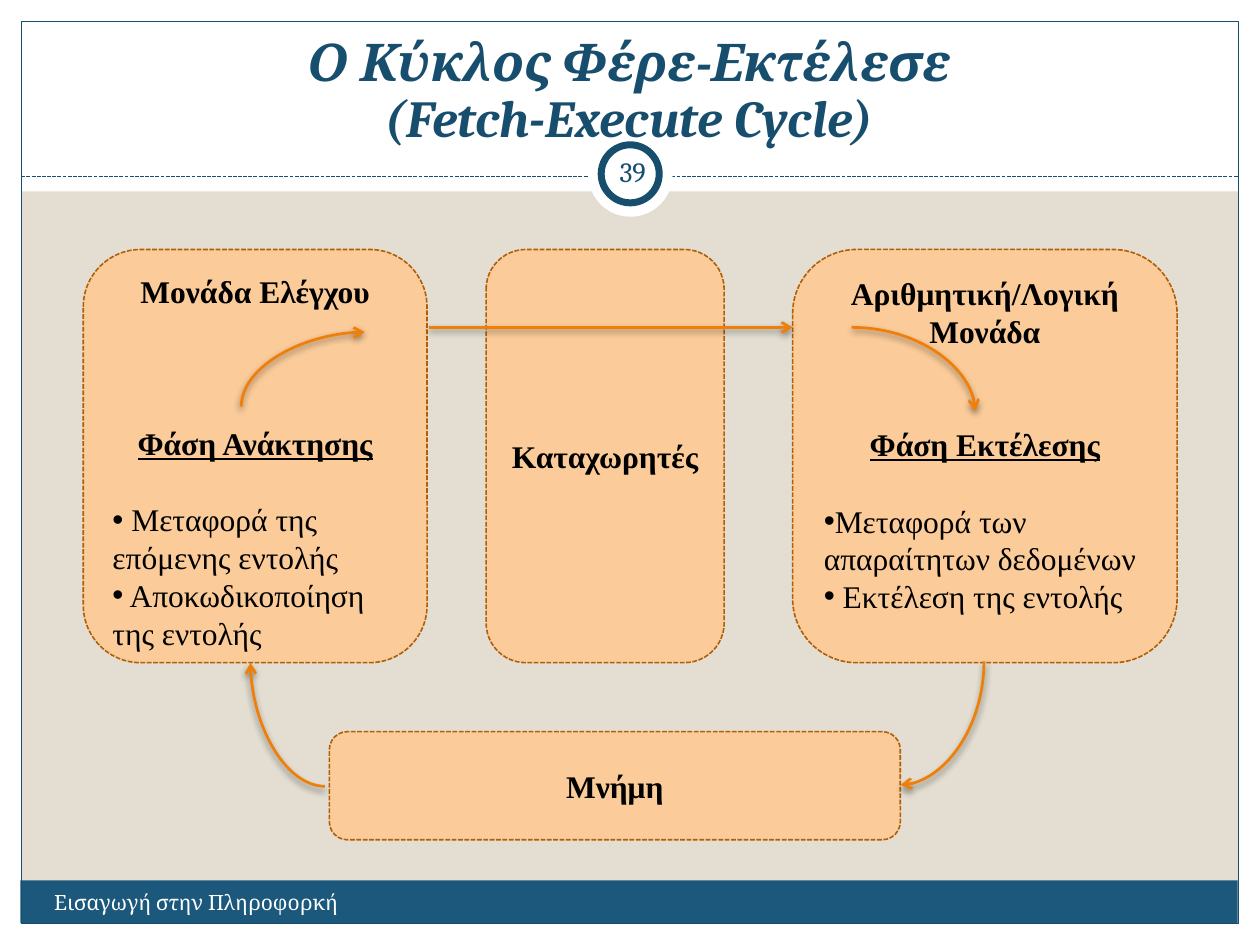
from dataclasses import dataclass

import lxml.etree
import pptx
import pptx.dml.color
import pptx.enum.dml
import pptx.enum.shapes
import pptx.enum.text
import pptx.oxml.ns
import pptx.util

Cm, Pt = pptx.util.Cm, pptx.util.Pt
KIND = pptx.enum.shapes.MSO_SHAPE
JOIN = pptx.enum.shapes.MSO_CONNECTOR
ALIGN = pptx.enum.text.PP_ALIGN
ANCHOR = pptx.enum.text.MSO_ANCHOR
DASH = pptx.enum.dml.MSO_LINE.SQUARE_DOT
qn = pptx.oxml.ns.qn


@dataclass(frozen=True)
class Theme:
    sand: str = "E3DED1"
    white: str = "FFFFFF"
    black: str = "000000"
    navy: str = "184E6D"
    blue: str = "1B587C"
    peach: str = "FBCC9A"
    brown: str = "B25E07"
    orange: str = "F07F09"
    serif: str = "Cambria"
    roman: str = "Times New Roman"
    title: float = 29.7
    body: float = 18
    number: float = 16
    footer: float = 12


@dataclass(frozen=True)
class Rect:
    left: float
    top: float
    width: float
    height: float

    def size(self) -> list:
        return [Cm(n) for n in (self.left, self.top, self.width, self.height)]


@dataclass(frozen=True)
class Para:
    text: str
    bold: bool = True
    under: bool = False
    bullet: bool = False
    before: float = 0


@dataclass(frozen=True)
class Box:
    rect: Rect
    paras: tuple
    anchor: object = ANCHOR.MIDDLE


@dataclass(frozen=True)
class Curve:
    rect: Rect
    turn: int


T = Theme()


def rgb(code: str):
    return pptx.dml.color.RGBColor.from_string(code)


def sub(parent, tag: str, **attrs):
    return lxml.etree.SubElement(parent, qn(tag), attrs)


def style(font, face: str, size: float, color: str, bold=False, italic=False) -> None:
    font.name, font.size = face, Pt(size)
    font.bold, font.italic = bold, italic
    font.color.rgb = rgb(color)


def draw(slide, kind, rect: Rect, fill="", line="", width=0.75):
    shape = slide.shapes.add_shape(kind, *rect.size())
    shape.shadow.inherit = False
    if fill:
        shape.fill.solid()
        shape.fill.fore_color.rgb = rgb(fill)
    else:
        shape.fill.background()
    if line:
        shape.line.color.rgb = rgb(line)
        shape.line.width = Pt(width)
    else:
        shape.line.fill.background()
    return shape


def label(slide, rect: Rect, text: str, size: float, color: str,
          align=ALIGN.LEFT, anchor=ANCHOR.TOP, strong=False):
    frame = slide.shapes.add_textbox(*rect.size()).text_frame
    frame.word_wrap = True
    frame.vertical_anchor = anchor
    para = frame.paragraphs[0]
    para.text = text
    para.alignment = align
    style(para.font, T.serif, size, color, strong, strong)
    return frame


def draw_box(slide, box: Box) -> None:
    shape = draw(slide, KIND.ROUNDED_RECTANGLE, box.rect, T.peach, T.brown, 0.9)
    shape.line.dash_style = DASH
    frame = shape.text_frame
    frame.word_wrap = True
    frame.vertical_anchor = box.anchor
    for i, item in enumerate(box.paras):
        para = frame.add_paragraph() if i else frame.paragraphs[0]
        para.text = item.text
        para.alignment = ALIGN.LEFT if item.bullet else ALIGN.CENTER
        if item.before:
            para.space_before = Pt(item.before)
        if item.bullet:
            props = para._p.get_or_add_pPr()
            props.set("marL", "0")
            props.set("indent", "0")
            sub(props, "a:buFont", typeface="Arial")
            sub(props, "a:buChar", char="•")
        style(para.font, T.roman, T.body, T.black, item.bold)
        para.font.underline = item.under


def join(slide, kind, rect: Rect, color: str, width: float):
    ends = (rect.left, rect.top, rect.left + rect.width, rect.top + rect.height)
    link = slide.shapes.add_connector(kind, *[Cm(n) for n in ends])
    link.line.color.rgb = rgb(color)
    link.line.width = Pt(width)
    return link, sub(link._element.spPr, "a:effectLst")


def arrow(slide, rect: Rect, kind=JOIN.STRAIGHT):
    link, effect = join(slide, kind, rect, T.orange, 1.57)
    sub(link.line._get_or_add_ln(), "a:tailEnd", type="arrow")
    shade = sub(effect, "a:outerShdw", blurRad=str(Pt(4)), dist=str(Pt(2)),
                dir="5400000", rotWithShape="0")
    sub(sub(shade, "a:srgbClr", val=T.black), "a:alpha", val="45000")
    return link


def draw_curve(slide, curve: Curve) -> None:
    props = arrow(slide, curve.rect, JOIN.CURVE)._element.spPr
    props.find(qn("a:prstGeom")).set("prst", "curvedConnector2")
    props.find(qn("a:xfrm")).set("rot", str(curve.turn * 60000))


# Three units in a row, with memory below
TOP, TALL = 5.03, 8.33
BOXES = (
    Box(Rect(1.68, TOP, 6.93, TALL), (
        Para("Μονάδα Ελέγχου"),
        Para("Φάση Ανάκτησης", under=True, before=65),
        Para(" Μεταφορά της επόμενης εντολής", bold=False, bullet=True, before=22),
        Para(" Αποκωδικοποίηση της εντολής", bold=False, bullet=True),
    ), ANCHOR.TOP),
    Box(Rect(15.98, TOP, 7.75, TALL), (
        Para("Αριθμητική/Λογική Μονάδα"),
        Para("Φάση Εκτέλεσης", under=True, before=43),
        Para("Μεταφορά των απαραίτητων δεδομένων", bold=False, bullet=True, before=22),
        Para(" Εκτέλεση της εντολής", bold=False, bullet=True),
    ), ANCHOR.TOP),
    Box(Rect(9.8, TOP, 4.8, TALL), (Para("Καταχωρητές"),)),
    Box(Rect(6.64, 14.75, 11.51, 2.18), (Para("Μνήμη"),)),
)
CURVES = (
    Curve(Rect(5.05, 13.36, 1.5, 2.49), 180),
    Curve(Rect(5.36, 6.2, 1.5, 2.49), 270),
    Curve(Rect(17.75, 13.74, 2.49, 1.68), 90),
    Curve(Rect(17.17, 6.6, 2.49, 1.68), 0),
)
BANDS = (
    Rect(0, 18.62, 25.4, 0.43), Rect(0, 0, 25.4, 3.86),
    Rect(0, 0, 0.43, 19.05), Rect(24.97, 0, 0.43, 19.05),
)


def main() -> None:
    deck = pptx.Presentation()
    deck.slide_width, deck.slide_height = Cm(25.4), Cm(19.05)
    slide = deck.slides.add_slide(deck.slide_layouts[6])
    slide.background.fill.solid()
    slide.background.fill.fore_color.rgb = rgb(T.sand)

    # Frame, footer bar and number badge
    for band in BANDS:
        draw(slide, KIND.RECTANGLE, band, T.white)
    draw(slide, KIND.RECTANGLE, Rect(0.41, 17.75, 24.54, 0.86), T.blue)
    draw(slide, KIND.RECTANGLE, Rect(0.43, 0.43, 24.54, 18.19), line=T.navy)
    rule, _ = join(slide, JOIN.STRAIGHT, Rect(0.43, 3.56, 24.54, 0), T.navy, 0.75)
    rule.line.dash_style = DASH
    draw(slide, KIND.OVAL, Rect(11.86, 2.67, 1.7, 1.7), T.white)
    draw(slide, KIND.OVAL, Rect(12.12, 2.92, 1.17, 1.17), T.white, T.navy, 4)

    # Title, footer and slide number
    title = label(slide, Rect(0.84, 1.02, 23.7, 2.11),
                  "Ο Κύκλος Φέρε-Εκτέλεσε\v(Fetch-Execute Cycle)",
                  T.title, T.navy, ALIGN.CENTER, ANCHOR.BOTTOM, strong=True)
    title.paragraphs[0].line_spacing = 0.9
    label(slide, Rect(0.84, 17.81, 9.96, 1.02), "Εισαγωγή στην Πληροφορκή",
          T.footer, T.white)
    badge = label(slide, Rect(12.12, 2.84, 1.27, 1.22), "39", T.number, T.navy,
                  ALIGN.CENTER, ANCHOR.MIDDLE)
    badge.margin_left = badge.margin_right = Cm(0.13)

    # Cycle diagram
    for box in BOXES:
        draw_box(slide, box)
    for curve in CURVES:
        draw_curve(slide, curve)
    arrow(slide, Rect(8.64, 6.6, 7.34, 0))

    deck.save("out.pptx")


if __name__ == "__main__":
    main()
